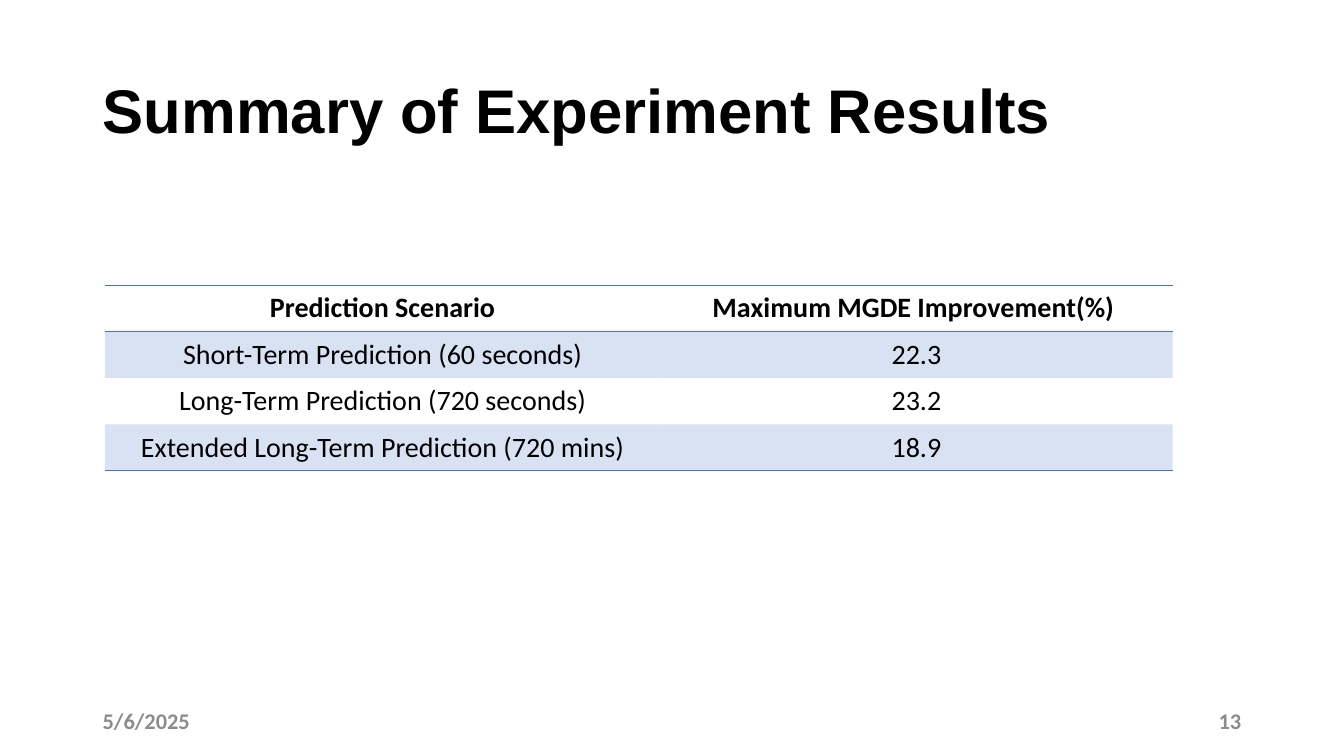
import lxml.etree
import pptx
import pptx.dml.color
import pptx.enum.text
import pptx.oxml.ns
import pptx.util

Inches = pptx.util.Inches
ALIGN = pptx.enum.text.PP_ALIGN
MIDDLE = pptx.enum.text.MSO_ANCHOR.MIDDLE
BLACK = pptx.dml.color.RGBColor(0x00, 0x00, 0x00)
GREY = pptx.dml.color.RGBColor(0x8C, 0x8C, 0x8C)
BLUE = pptx.dml.color.RGBColor(0x44, 0x72, 0xC4)
PLAIN_TABLE_STYLE = "{2D5ABB26-0587-4C30-8999-92F81FD0307C}"

TITLE_FONT = {"name": "Arial", "size": pptx.util.Pt(44), "bold": True}
FOOTER_FONT = {"name": "Calibri", "size": pptx.util.Pt(16), "bold": True}
TABLE_FONT = {"name": "Calibri", "size": pptx.util.Pt(20)}
CELL_FORMAT = {
    "margin_left": Inches(0.12), "margin_right": Inches(0.12),
    "margin_top": Inches(0.06), "margin_bottom": Inches(0.06),
    "vertical_anchor": MIDDLE,
}


def write_text(paragraph, text, font_format, color, alignment):
    run = paragraph.add_run()
    run.text = text
    for attribute, value in font_format.items():
        setattr(run.font, attribute, value)
    run.font.color.rgb = color
    paragraph.alignment = alignment


def add_xml(parent, tag, **attributes):
    """Append a DrawingML element and return it."""
    return lxml.etree.SubElement(parent, pptx.oxml.ns.qn(tag), attributes)


presentation = pptx.Presentation()
presentation.slide_width = Inches(13.33)
presentation.slide_height = Inches(7.5)
slide = presentation.slides.add_slide(presentation.slide_layouts[6])

# Title, date and slide number
margin = 0.92
footer_width = 3
right_column = 13.33 - margin - footer_width
text_boxes = [
    ("Summary of Experiment Results", margin, 0.4, 11.5, 1.45, TITLE_FONT, BLACK, ALIGN.LEFT),
    ("5/6/2025", margin, 6.95, footer_width, 0.4, FOOTER_FONT, GREY, ALIGN.LEFT),
    ("13", right_column, 6.95, footer_width, 0.4, FOOTER_FONT, GREY, ALIGN.RIGHT),
]
for text, left, top, width, height, font_format, color, alignment in text_boxes:
    box = slide.shapes.add_textbox(*map(Inches, (left, top, width, height)))
    box.text_frame.word_wrap = True
    box.text_frame.vertical_anchor = MIDDLE
    paragraph = box.text_frame.paragraphs[0]
    write_text(paragraph, text, font_format, color, alignment)
    if font_format is TITLE_FONT:
        paragraph.line_spacing = 0.9

# Results table
results = [
    ("Prediction Scenario", "Maximum MGDE Improvement(%) "),
    ("Short-Term Prediction (60 seconds)", "22.3"),
    ("Long-Term Prediction (720 seconds)", "23.2"),
    ("Extended Long-Term Prediction (720 mins)", "18.9"),
]
column_widths = (5.51, 5.08)
row_height = 0.46
borders_by_row = {0: ("a:lnT", "a:lnB"), len(results) - 1: ("a:lnB",)}

frame = slide.shapes.add_table(
    len(results), len(column_widths), Inches(1.04), Inches(2.83),
    Inches(sum(column_widths)), Inches(row_height * len(results)))
table = frame.table
table._tbl.tblPr.find(pptx.oxml.ns.qn("a:tableStyleId")).text = PLAIN_TABLE_STYLE
for column, width in zip(table.columns, column_widths):
    column.width = Inches(width)

for row_index, texts in enumerate(results):
    table.rows[row_index].height = Inches(row_height)
    for column_index, text in enumerate(texts):
        cell = table.cell(row_index, column_index)
        for attribute, value in CELL_FORMAT.items():
            setattr(cell, attribute, value)
        font_format = TABLE_FONT | {"bold": row_index == 0}
        write_text(cell.text_frame.paragraphs[0], text, font_format, BLACK, ALIGN.CENTER)

        properties = cell._tc.get_or_add_tcPr()
        for edge in borders_by_row.get(row_index, ()):
            line = add_xml(properties, edge, w=str(pptx.util.Pt(1)))
            add_xml(add_xml(line, "a:solidFill"), "a:srgbClr", val=str(BLUE))

        if row_index % 2:
            cell.fill.solid()
            cell.fill.fore_color.rgb = BLUE
            fill_color = properties.find(".//" + pptx.oxml.ns.qn("a:srgbClr") + "[last()]")
            fill_color = properties.find(pptx.oxml.ns.qn("a:solidFill"))[0]
            add_xml(fill_color, "a:alpha", val="20000")
        else:
            cell.fill.background()

presentation.save("out.pptx")
